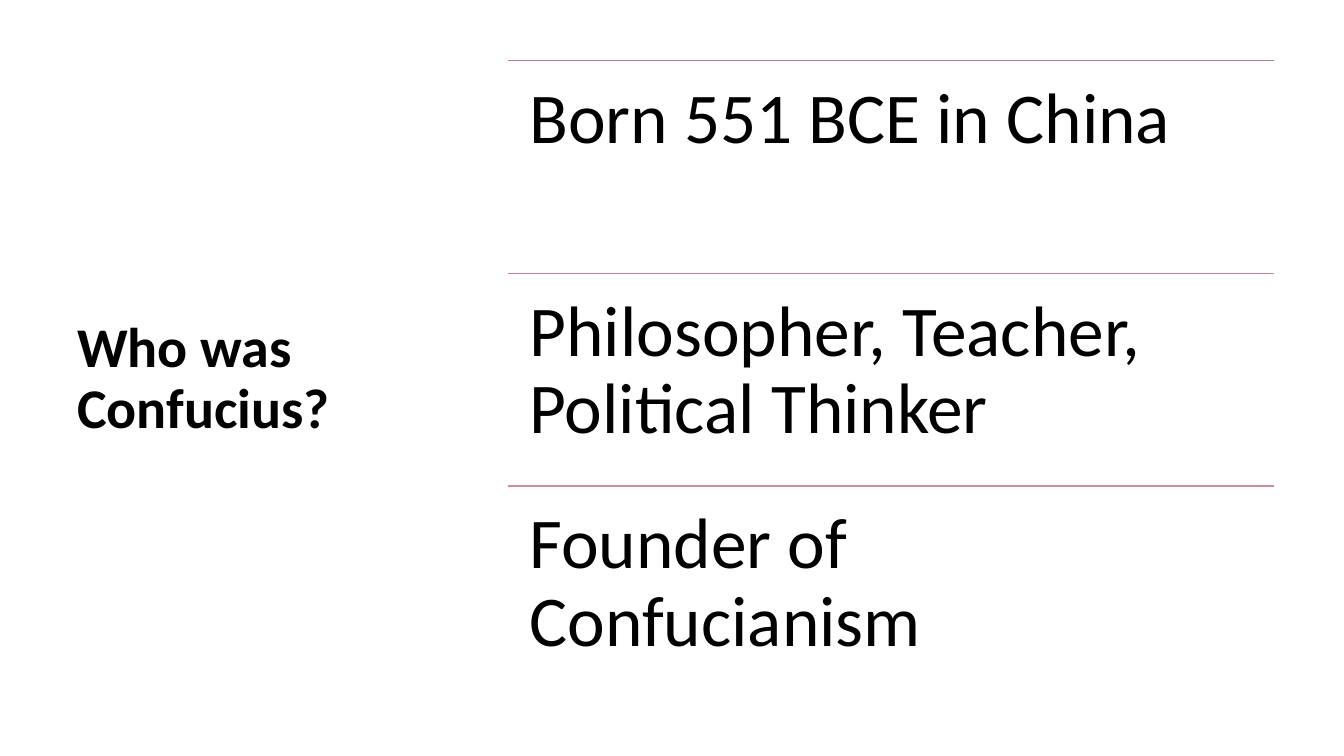
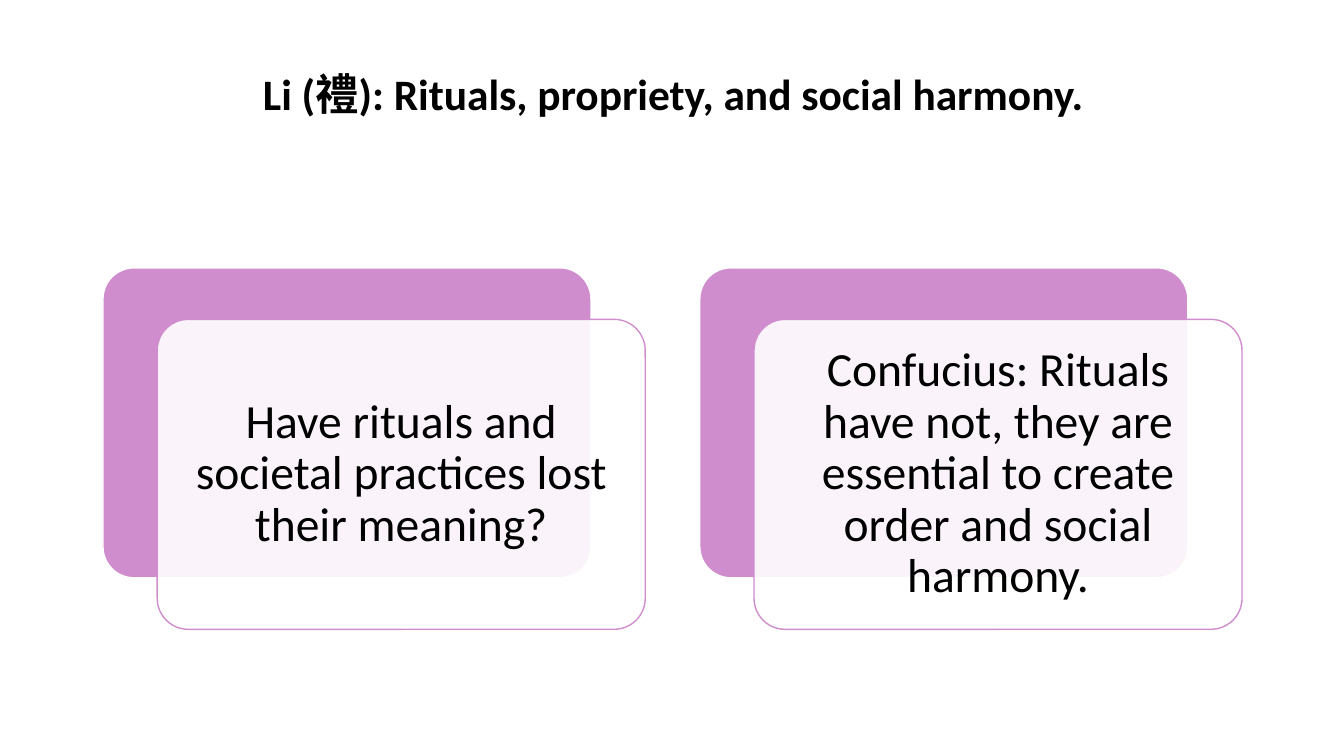
from lxml import etree
from pptx import Presentation
from pptx.dml.color import RGBColor
from pptx.enum import shapes, text
from pptx.oxml.ns import qn
from pptx.util import Pt

INK, WHITE, ORCHID = "000000", "FFFFFF", "D08DCE"
MID, TOP = text.MSO_ANCHOR.MIDDLE, text.MSO_ANCHOR.TOP
LEFT, MIDDLE = text.PP_ALIGN.LEFT, text.PP_ALIGN.CENTER


def rgb(code):
    return RGBColor.from_string(code)


def write(shape, words, size, bold=False, align=LEFT, anchor=TOP, pad=(7.2, 3.6, 7.2, 3.6)):
    """Fill a shape with one paragraph; pad is left, top, right, bottom."""
    frame = shape.text_frame
    frame.word_wrap = True
    frame.vertical_anchor = anchor
    frame.margin_left, frame.margin_top, frame.margin_right, frame.margin_bottom = map(Pt, pad)
    para = frame.paragraphs[0]
    para.alignment = align
    para.line_spacing = 0.9
    run = para.add_run()
    run.text = words
    font = run.font
    font.name, font.size, font.bold = "Calibri", Pt(size), bold
    font.color.rgb = rgb(INK)


class Deck:
    """Holds the shared style and the slide being built."""

    def __init__(self):
        self.prs = Presentation()
        self.prs.slide_width, self.prs.slide_height = Pt(960), Pt(540)

    def page(self):
        self.slide = self.prs.slides.add_slide(self.prs.slide_layouts[6])

    def label(self, words, box, size, **style):
        write(self.slide.shapes.add_textbox(*map(Pt, box)), words, size, **style)

    def title(self, words, box, size, align=LEFT):
        self.label(words, box, size, bold=True, align=align, anchor=MID)

    def rule(self, left, top, width, color):
        line = self.slide.shapes.add_connector(
            shapes.MSO_CONNECTOR.STRAIGHT, Pt(left), Pt(top), Pt(left + width), Pt(top))
        line.line.color.rgb = rgb(color)
        line.line.width = Pt(1)
        etree.SubElement(line._element.spPr, qn("a:effectLst"))

    def panel(self, box, fill, edge, alpha=100):
        """Add a rounded panel; alpha is its opacity in percent."""
        panel = self.slide.shapes.add_shape(shapes.MSO_SHAPE.ROUNDED_RECTANGLE, *map(Pt, box))
        panel.adjustments[0] = 0.1
        panel.shadow.inherit = False
        panel.fill.solid()
        panel.fill.fore_color.rgb = rgb(fill)
        panel.line.color.rgb = rgb(edge)
        panel.line.width = Pt(1)
        if alpha < 100:
            color = panel._element.spPr.find(qn("a:solidFill")).find(qn("a:srgbClr"))
            etree.SubElement(color, qn("a:alpha")).set("val", str(alpha * 1000))
        return panel

    def card(self, words, left, top, width, height):
        """Add a coloured panel with a clear text panel shifted over it."""
        self.panel((left, top, width, height), ORCHID, WHITE)
        front = self.panel((left + 38.7, top + 36.8, width, height), WHITE, ORCHID, alpha=90)
        write(front, words, 34, align=MIDDLE, anchor=MID, pad=(10, 10, 10, 10))


def who(deck):
    deck.page()
    deck.title("Who was Confucius?", (48, 43.2, 275, 456), 40)
    left, top, width, step = 363, 43.2, 547, 152
    facts = [("Born 551 BCE in China", "C573A1"),
             ("Philosopher, Teacher, Political Thinker", "CB809A"),
             ("Founder of Confucianism", "D08D96")]
    for i, (words, color) in enumerate(facts):
        y = top + i * step
        deck.rule(left, y, width, color)
        deck.label(words, (left, y, width, step), 51, pad=(15.2, 15.2, 24, 15.2))


def ritual(deck):
    deck.page()
    deck.title("Li (禮): Rituals, propriety, and social harmony.",
               (120, 43.2, 721.5, 52), 31, align=MIDDLE)
    cards = ["Have rituals and societal practices lost their meaning?",
             "Confucius: Rituals have not, they are essential to create order and social harmony."]
    for i, words in enumerate(cards):
        deck.card(words, 73.6 + i * 426.3, 191.3, 348.6, 221.4)


def main():
    deck = Deck()
    who(deck)
    ritual(deck)
    deck.prs.save("out.pptx")


if __name__ == "__main__":
    main()
